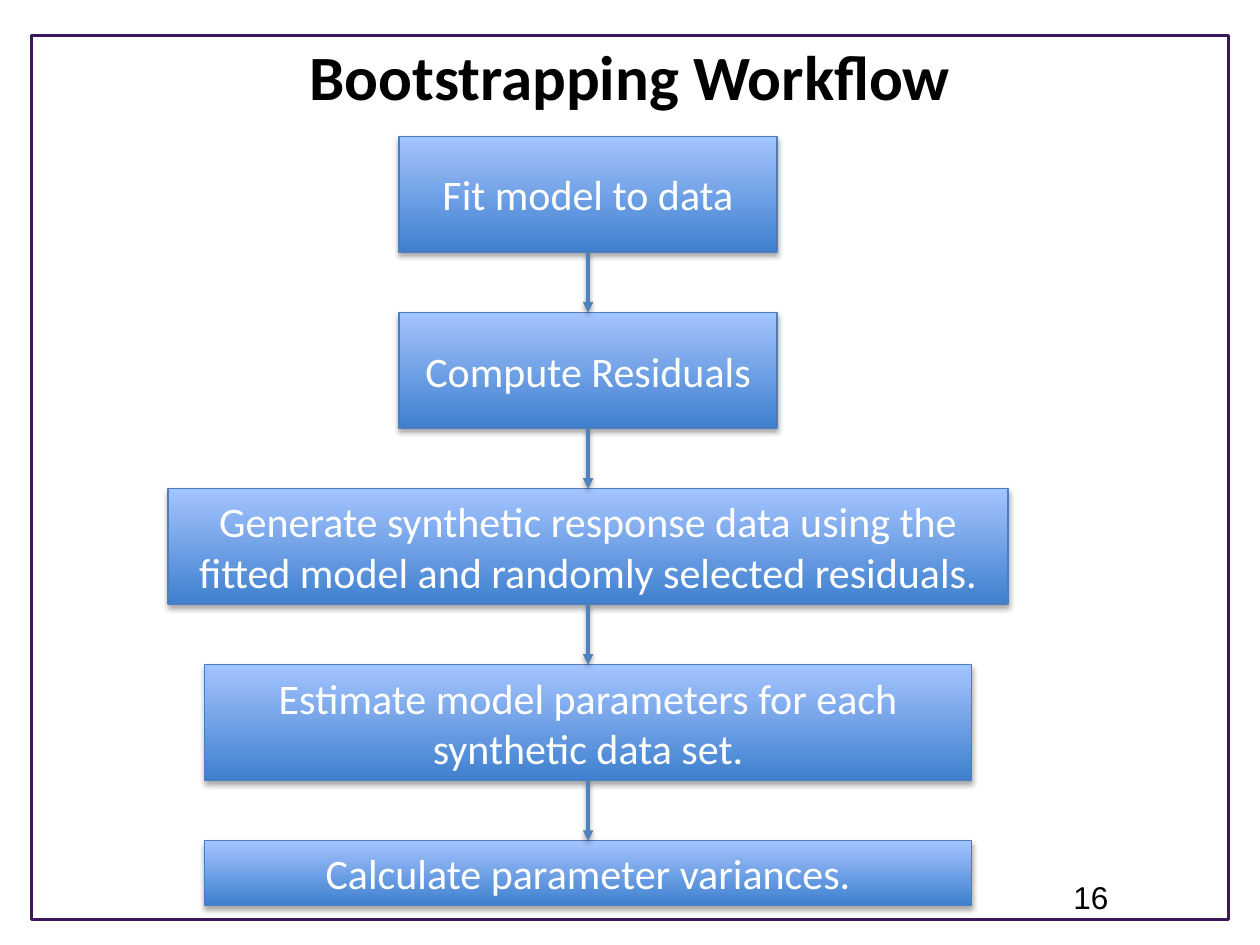
from lxml import etree
from pptx import Presentation
from pptx.dml.color import RGBColor
from pptx.enum.shapes import MSO_CONNECTOR, MSO_SHAPE
from pptx.enum.text import MSO_ANCHOR, PP_ALIGN
from pptx.oxml.ns import qn
from pptx.util import Cm, Pt

RECTANGLE = MSO_SHAPE.RECTANGLE
STRAIGHT = MSO_CONNECTOR.STRAIGHT
CENTER, LEFT = PP_ALIGN.CENTER, PP_ALIGN.LEFT
MIDDLE, TOP = MSO_ANCHOR.MIDDLE, MSO_ANCHOR.TOP
BOTTOM_SIDE, TOP_SIDE = 2, 0

STEP_HEIGHT, STEP_GAP = 2.33, 1.22
STEPS = [  # text, width, height in cm
    ("Fit model to data", 7.62, STEP_HEIGHT),
    ("Compute Residuals", 7.62, STEP_HEIGHT),
    ("Generate synthetic response data using the fitted model "
     "and randomly selected residuals.", 16.93, STEP_HEIGHT),
    ("Estimate model parameters for each synthetic data set.", 15.45, STEP_HEIGHT),
    ("Calculate parameter variances.", 15.45, 1.3),
]


def color(value):
    return RGBColor.from_string(value)


def set_line(line, value, width):
    line.color.rgb = color(value)
    line.width = Pt(width)


def add_shadow(shape, distance, opacity):
    """Give the shape a soft black shadow below it; distance in points, opacity in percent."""
    effects = etree.SubElement(shape.element.spPr, qn("a:effectLst"))
    shadow = etree.SubElement(
        effects, qn("a:outerShdw"), blurRad=str(Pt(3.15)), dist=str(Pt(distance)),
        dir="5400000", rotWithShape="0")
    black = etree.SubElement(shadow, qn("a:srgbClr"), val="000000")
    etree.SubElement(black, qn("a:alpha"), val=str(opacity * 1000))


def write(shape, text, size, font_name, value, align, anchor, bold=False):
    frame = shape.text_frame
    frame.word_wrap = True
    frame.vertical_anchor = anchor
    frame.text = text
    paragraph = frame.paragraphs[0]
    paragraph.alignment = align
    font = paragraph.runs[0].font
    font.name, font.size, font.bold = font_name, Pt(size), bold
    font.color.rgb = color(value)


def add_border(slide, left, top, width, height):
    border = slide.shapes.add_shape(RECTANGLE, Cm(left), Cm(top), Cm(width), Cm(height))
    border.shadow.inherit = False
    border.fill.background()
    set_line(border.line, "3B185A", 1.75)


def add_title(slide, left, top, width, height):
    title = slide.shapes.add_textbox(Cm(left), Cm(top), Cm(width), Cm(height))
    write(title, "Bootstrapping Workflow", 36, "Calibri", "000000", CENTER, TOP, bold=True)


def add_page_number(slide, left, top, width, height):
    number = slide.shapes.add_textbox(Cm(left), Cm(top), Cm(width), Cm(height))
    write(number, "16", 18, "Arial", "000000", LEFT, TOP)


def add_step(slide, text, left, top, width, height):
    step = slide.shapes.add_shape(RECTANGLE, Cm(left), Cm(top), Cm(width), Cm(height))
    step.fill.gradient()
    step.fill.gradient_angle = 90
    for stop, value in zip(step.fill.gradient_stops, ("3F80CE", "A4C4FF")):
        stop.color.rgb = color(value)
    set_line(step.line, "4B7EBC", 0.75)
    add_shadow(step, 1.8, 35)
    write(step, text, 24, "Calibri", "FFFFFF", CENTER, MIDDLE)
    return step


def add_arrow(slide, upper, lower):
    arrow = slide.shapes.add_connector(STRAIGHT, 0, 0, 0, 0)
    arrow.begin_connect(upper, BOTTOM_SIDE)
    arrow.end_connect(lower, TOP_SIDE)
    set_line(arrow.line, "4F81BD", 2)
    etree.SubElement(arrow.element.spPr.find(qn("a:ln")), qn("a:tailEnd"), type="triangle")
    add_shadow(arrow, 1.6, 38)


def add_workflow(slide, left, top, width):
    """Stack the steps, centred in the given width, and link each to the next."""
    steps = []
    for index, (text, step_width, height) in enumerate(STEPS):
        step_left = left + (width - step_width) / 2
        step_top = top + index * (STEP_HEIGHT + STEP_GAP)
        steps.append(add_step(slide, text, step_left, step_top, step_width, height))
    for upper, lower in zip(steps, steps[1:]):
        add_arrow(slide, upper, lower)


def main():
    presentation = Presentation()
    presentation.slide_width, presentation.slide_height = Cm(25.4), Cm(19.05)
    slide = presentation.slides.add_slide(presentation.slide_layouts[6])
    add_border(slide, 0.64, 0.71, 24.13, 17.83)
    add_title(slide, 1.27, 0.64, 22.86, 2.33)
    add_page_number(slide, 21.39, 17.58, 1.47, 1.02)
    add_workflow(slide, 3.39, 2.75, 16.93)
    presentation.save("out.pptx")


if __name__ == "__main__":
    main()
